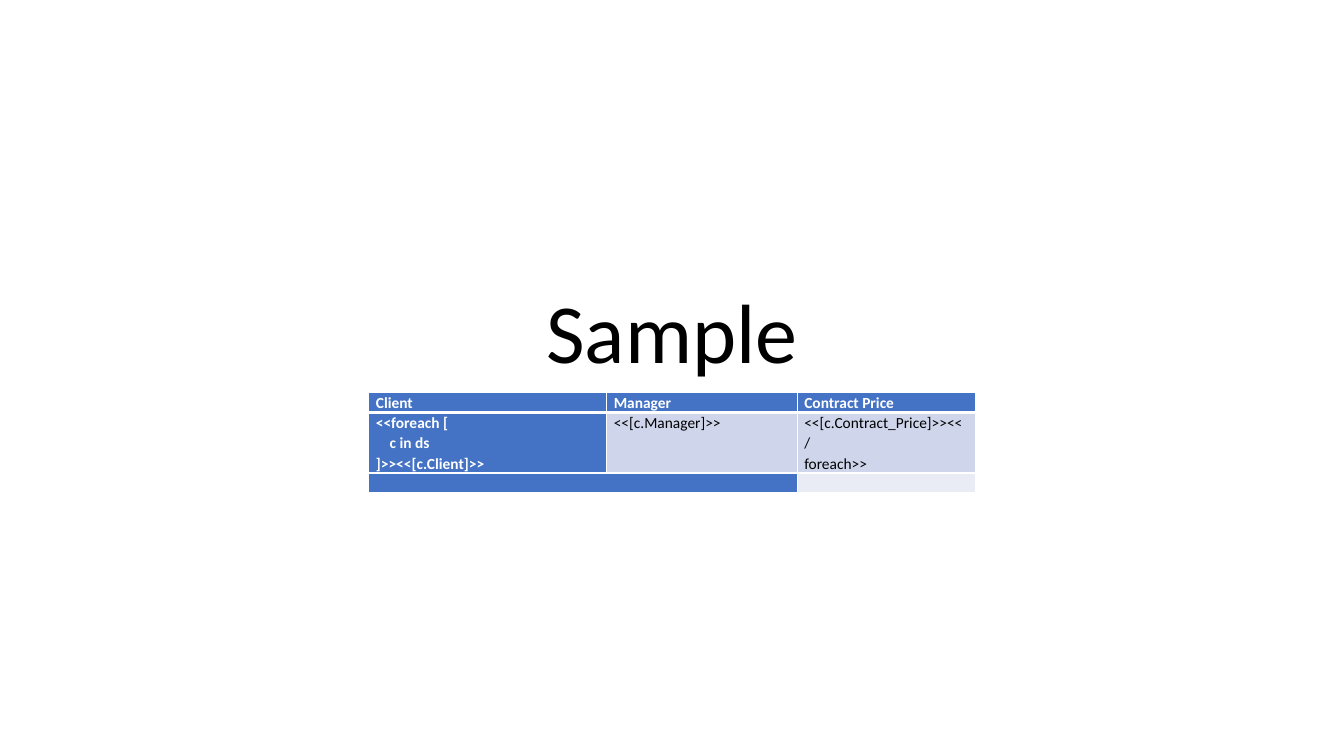
from collections import namedtuple
from dataclasses import dataclass

from lxml import etree
from pptx import Presentation
from pptx.dml.color import RGBColor
from pptx.enum.text import MSO_ANCHOR, PP_ALIGN
from pptx.oxml.ns import qn
from pptx.util import Inches, Pt

BOTTOM = MSO_ANCHOR.BOTTOM
CENTER = PP_ALIGN.CENTER
Box = namedtuple("Box", "left top width height")


@dataclass(frozen=True)
class Theme:
    font: str = "Calibri"
    ink: str = "000000"
    paper: str = "FFFFFF"
    accent: str = "4472C4"
    band: str = "CFD5EA"
    pale: str = "E9EBF5"
    title_size: float = 60
    cell_size: float = 11


THEME = Theme()

# Slide grid: 160 columns by 90 rows
SLIDE_WIDTH, SLIDE_HEIGHT = Inches(13.33), Inches(7.5)
COLUMN, ROW = SLIDE_WIDTH / 160, SLIDE_HEIGHT / 90

COLUMN_SHARES = (2.36, 1.89, 1.77)
LINES_PER_ROW = (1, 3, 1)
CELL_MARGIN = 0.85 * COLUMN
LOOP_INDENT = 1.65 * COLUMN

# Each cell is a list of (text, indent) lines
HEADINGS = [[(name, 0)] for name in ("Client", "Manager", "Contract Price")]
TEMPLATE = [
    [("<<foreach [", 0), ("c in ds", LOOP_INDENT), ("]>><<[c.Client]>>", 0)],
    [("<<[c.Manager]>>", 0)],
    [("<<[c.Contract_Price]>><</", 0), ("foreach>>", 0)],
]
CONTRACT_ROWS = [HEADINGS, TEMPLATE, [[], [], []]]


def grid_box(left, top, width, height):
    return Box(round(left * COLUMN), round(top * ROW),
               round(width * COLUMN), round(height * ROW))


def add_span(para, text, size, color, bold=False):
    span = para.add_run()
    span.text = text
    span.font.name = THEME.font
    span.font.size = Pt(size)
    span.font.bold = bold
    span.font.color.rgb = RGBColor.from_string(color)


def add_title(page, box, text):
    frame = page.shapes.add_textbox(*box).text_frame
    frame.word_wrap = True
    frame.vertical_anchor = BOTTOM
    para = frame.paragraphs[0]
    para.alignment = CENTER
    para.line_spacing = 0.9
    add_span(para, text, THEME.title_size, THEME.ink)


def set_borders(cell, is_heading):
    properties = cell._tc.get_or_add_tcPr()
    widths = {"a:lnL": 1, "a:lnR": 1, "a:lnT": 1, "a:lnB": 3 if is_heading else 1}
    for position, (side, width) in enumerate(widths.items()):
        line = etree.Element(qn(side), w=str(Pt(width)))
        fill = etree.SubElement(line, qn("a:solidFill"))
        etree.SubElement(fill, qn("a:srgbClr"), val=THEME.paper)
        properties.insert(position, line)


def fill_cell(cell, lines, fill, color, bold):
    cell.margin_left = cell.margin_right = round(CELL_MARGIN)
    cell.margin_top = cell.margin_bottom = 0
    cell.fill.solid()
    cell.fill.fore_color.rgb = RGBColor.from_string(fill)
    frame = cell.text_frame
    for number, (text, indent) in enumerate(lines):
        para = frame.add_paragraph() if number else frame.paragraphs[0]
        para.line_spacing = 1.07
        para._p.get_or_add_pPr().set("marL", str(round(indent)))
        add_span(para, text, THEME.cell_size, color, bold)
    if not lines:
        # An empty cell keeps the height of one text line
        para = frame.paragraphs[0]
        para.line_spacing = 1.07
        etree.SubElement(para._p, qn("a:endParaRPr"), sz=str(round(THEME.cell_size * 100)))


def add_contract_table(page, box, rows):
    table = page.shapes.add_table(len(rows), len(COLUMN_SHARES), *box).table
    for column, share in zip(table.columns, COLUMN_SHARES):
        column.width = round(box.width * share / sum(COLUMN_SHARES))
    for row, line_count in zip(table.rows, LINES_PER_ROW):
        row.height = round(box.height * line_count / sum(LINES_PER_ROW))

    # Heading row and first column are accented, the rest is banded
    for row_number, row in enumerate(rows):
        for column_number, lines in enumerate(row):
            accented = row_number == 0 or column_number == 0
            band = THEME.band if row_number % 2 else THEME.pale
            cell = table.cell(row_number, column_number)
            fill_cell(cell, lines,
                      fill=THEME.accent if accented else band,
                      color=THEME.paper if accented else THEME.ink,
                      bold=accented)
            set_borders(cell, row_number == 0)

    # The closing row joins client and manager
    last = len(rows) - 1
    table.cell(last, 0).merge(table.cell(last, 1))


def build_sample_page(deck):
    page = deck.slides.add_slide(deck.slide_layouts[6])
    add_title(page, grid_box(20, 14.75, 120, 31.25), "Sample")
    add_contract_table(page, grid_box(43.9, 46.7, 72.25, 12), CONTRACT_ROWS)


deck = Presentation()
deck.slide_width, deck.slide_height = SLIDE_WIDTH, SLIDE_HEIGHT
build_sample_page(deck)
deck.save("out.pptx")
